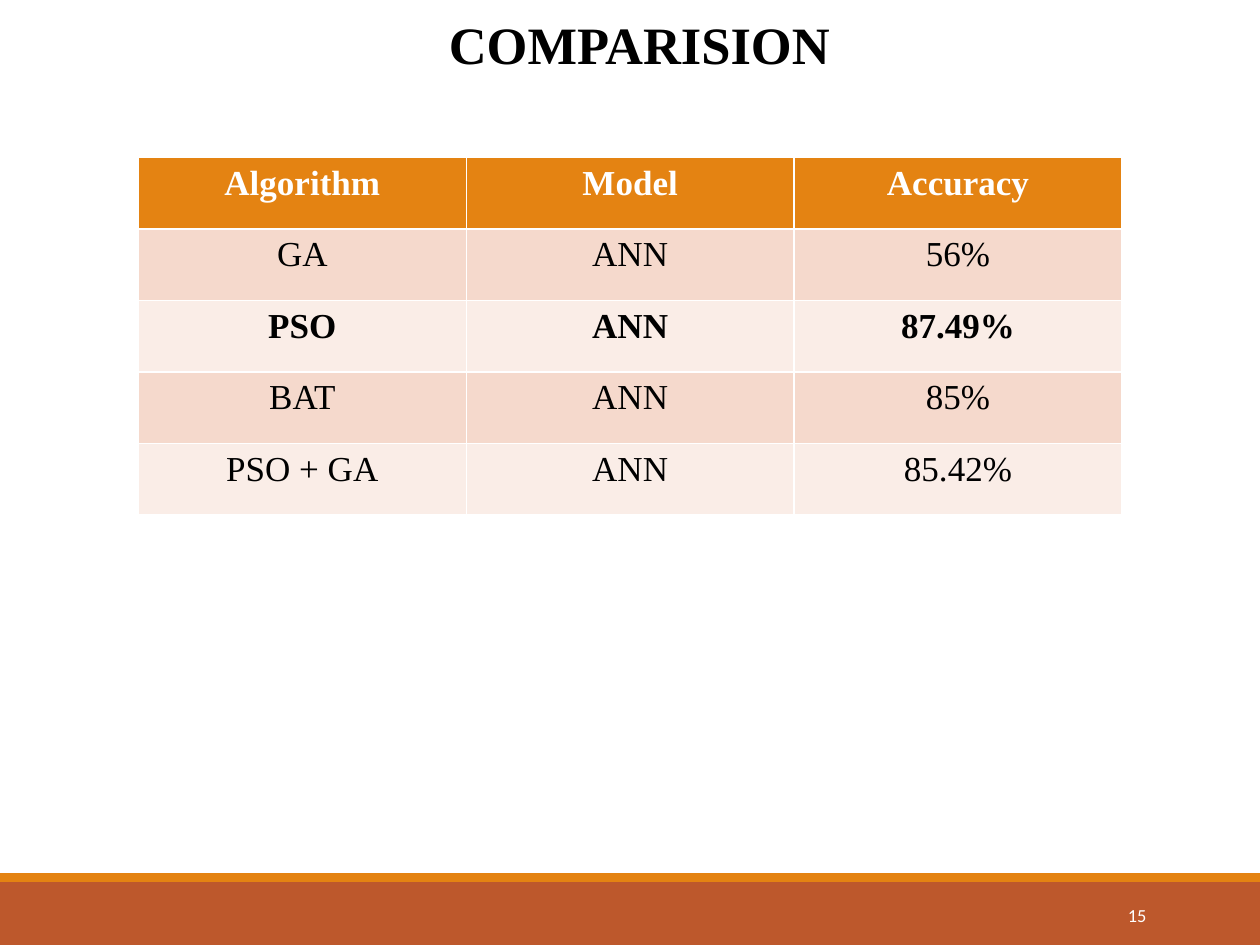
from pptx import Presentation
from pptx.dml.color import RGBColor
from pptx.enum.shapes import MSO_SHAPE
from pptx.enum.text import MSO_ANCHOR, PP_ALIGN
from pptx.util import Cm, Pt

WHITE = RGBColor(0xFF, 0xFF, 0xFF)
BLACK = RGBColor(0x00, 0x00, 0x00)
ORANGE = RGBColor(0xE4, 0x83, 0x12)
RUST = RGBColor(0xBD, 0x58, 0x2C)
BAND_DARK = RGBColor(0xF5, 0xD9, 0xCC)
BAND_LIGHT = RGBColor(0xFA, 0xED, 0xE7)
SERIF = "Times New Roman"


def write(tf, text, size, color, align, font=SERIF, bold=False):
    tf.text = text
    p = tf.paragraphs[0]
    p.alignment = align
    r = p.runs[0]
    r.font.name = font
    r.font.size = Pt(size)
    r.font.bold = bold
    r.font.color.rgb = color


prs = Presentation()
prs.slide_width = Cm(25.4)
prs.slide_height = Cm(19.05)
s = prs.slides.add_slide(prs.slide_layouts[5])

for top, height, color in [(17.78, 1.27, RUST), (17.6, 0.18, ORANGE)]:
    sp = s.shapes.add_shape(MSO_SHAPE.RECTANGLE, 0, Cm(top), prs.slide_width, Cm(height))
    sp.shadow.inherit = False
    sp.fill.solid()
    sp.fill.fore_color.rgb = color
    sp.line.fill.background()

number = s.shapes.add_textbox(Cm(20.62), Cm(17.93), Cm(2.74), Cm(1.02))
tf = number.text_frame
tf.word_wrap = True
tf.vertical_anchor = MSO_ANCHOR.MIDDLE
write(tf, "15", 10.5, WHITE, PP_ALIGN.RIGHT, font="Calibri")

title = s.shapes.title
title.left, title.top, title.width, title.height = Cm(0.38), Cm(0.1), Cm(25.02), Cm(1.55)
title.text_frame.vertical_anchor = MSO_ANCHOR.MIDDLE
write(title.text_frame, "COMPARISION", 30, BLACK, PP_ALIGN.CENTER, bold=True)

rows = [
    ("Algorithm", "Model", "Accuracy"),
    ("GA", "ANN", "56%"),
    ("PSO", "ANN", "87.49%"),
    ("BAT", "ANN", "85%"),
    ("PSO + GA", "ANN", "85.42%"),
]
BEST_ROW = 2
table = s.shapes.add_table(len(rows), 3, Cm(2.79), Cm(3.18), Cm(19.83), Cm(7.2)).table
for i, row in enumerate(rows):
    if i == 0:
        fill, color = ORANGE, WHITE
    else:
        fill, color = (BAND_DARK if i % 2 else BAND_LIGHT), BLACK
    for j, text in enumerate(row):
        cell = table.cell(i, j)
        cell.fill.solid()
        cell.fill.fore_color.rgb = fill
        write(cell.text_frame, text, 20, color, PP_ALIGN.CENTER, bold=i in (0, BEST_ROW))

prs.save("out.pptx")
